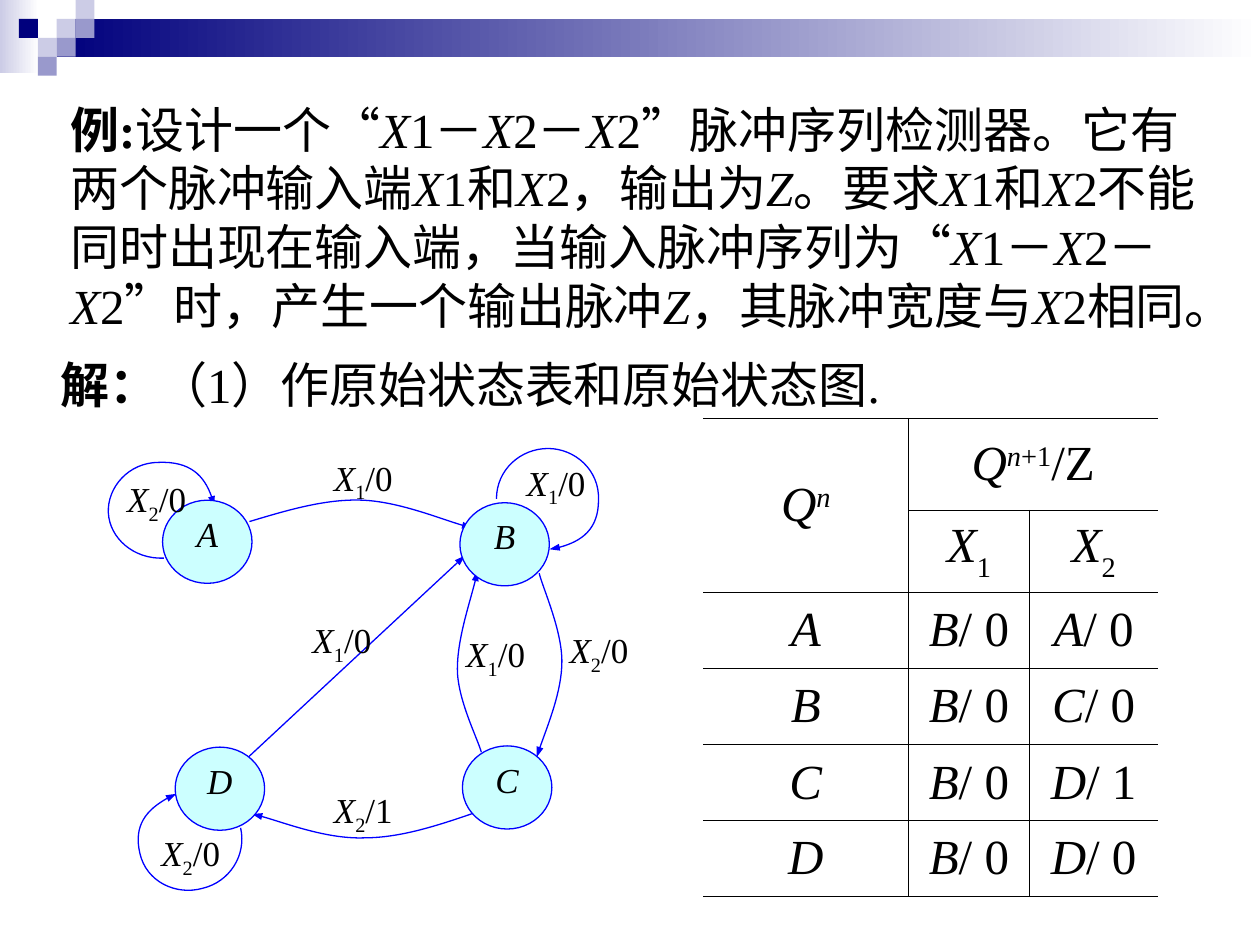
from dataclasses import dataclass

from pptx import Presentation
from pptx.dml.color import RGBColor
from pptx.enum.lang import MSO_LANGUAGE_ID
from pptx.enum.shapes import MSO_CONNECTOR, MSO_SHAPE
from pptx.enum.text import MSO_ANCHOR, MSO_AUTO_SIZE, PP_ALIGN
from pptx.oxml.ns import qn
from pptx.oxml.xmlchemy import OxmlElement
from pptx.util import Inches, Pt


@dataclass(frozen=True)
class Theme:
    font: str = "Times New Roman"
    body: int = 28
    label: int = 20
    edge_width: float = 0.75
    rule_width: float = 0.45
    ink: RGBColor = RGBColor(0, 0, 0)
    white: RGBColor = RGBColor(255, 255, 255)
    navy: RGBColor = RGBColor(0, 0, 0x7D)
    lilac: RGBColor = RGBColor(0x99, 0x99, 0xCC)
    pale: RGBColor = RGBColor(0xCC, 0xCC, 0xE6)
    state: RGBColor = RGBColor(0xCC, 0xFF, 0xFF)
    edge: RGBColor = RGBColor(0, 0, 0xFF)


THEME = Theme()
TILE = 0.15
PROBLEM = (
    "设计一个“*X*1－*X*2－*X*2”脉冲序列检测器。它有两个脉冲输入端*X*1和*X*2，"
    "输出为*Z*。要求*X*1和*X*2不能同时出现在输入端，当输入脉冲序列为“*X*1－*X*2－*X*2”时，"
    "产生一个输出脉冲*Z*，其脉冲宽度与*X*2相同。"
)
STATES = {"A": (1.29, 3.97), "B": (3.65, 3.99), "C": (3.67, 5.92), "D": (1.39, 5.93)}
# Start point, then three Bezier points for each curve segment
TRANSITIONS = [
    [(1.3, 4.43), (1.06, 4.44), (0.87, 4.27), (0.86, 4.07),
     (0.85, 3.87), (1.02, 3.67), (1.26, 3.67), (1.51, 3.66), (1.66, 3.81), (1.7, 4.02)],
    [(1.91, 6.57), (1.96, 6.79), (1.82, 7), (1.61, 7.05),
     (1.4, 7.11), (1.16, 7), (1.11, 6.77), (1.06, 6.55), (1.19, 6.39), (1.4, 6.3)],
    [(3.94, 3.96), (3.94, 3.73), (4.13, 3.56), (4.35, 3.56),
     (4.56, 3.56), (4.76, 3.73), (4.75, 3.97), (4.75, 4.2), (4.58, 4.33), (4.36, 4.36)],
    [(1.98, 4.14), (2.28, 4.05), (2.58, 3.96), (2.87, 3.97),
     (3.16, 3.98), (3.6, 4.16), (3.75, 4.19)],
    [(3.77, 6.45), (3.48, 6.55), (3.18, 6.65), (2.89, 6.65),
     (2.59, 6.66), (2.15, 6.49), (2, 6.46)],
    [(3.82, 5.97), (3.79, 5.86), (3.63, 5.55), (3.63, 5.31),
     (3.63, 5.07), (3.76, 4.69), (3.79, 4.53)],
    [(4.28, 4.55), (4.31, 4.67), (4.46, 5), (4.46, 5.25),
     (4.46, 5.49), (4.31, 5.85), (4.26, 6.01)],
]
# Left, top, input index, output
SIGNALS = [
    (1.01, 3.79, 2, 0), (2.65, 6.26, 2, 1), (2.48, 4.91, 1, 0), (3.7, 5.02, 1, 0),
    (4.52, 4.99, 2, 0), (4.18, 3.66, 1, 0), (2.65, 3.62, 1, 0), (1.28, 6.6, 2, 0),
]
# State, next state / output for X1 and for X2
STATE_ROWS = [("A", "*B*/ 0", "*A*/ 0"), ("B", "*B*/ 0", "*C*/ 0"),
              ("C", "*B*/ 0", "*D*/ 1"), ("D", "*B*/ 0", "*D*/ 0")]


# --- Text ---
def emphasised(text):
    """Runs (text, style, baseline) in which the parts between stars are italic."""
    return [(part, "i" if n % 2 else "", 0) for n, part in enumerate(text.split("*")) if part]


def write(paragraph, runs, size, align=None):
    paragraph.font.name = THEME.font
    paragraph.font.size = Pt(size)
    paragraph.font.color.rgb = THEME.ink
    paragraph.alignment = align
    for text, style, baseline in runs:
        run = paragraph.add_run()
        run.text = text
        run.font.language_id = MSO_LANGUAGE_ID.SIMPLIFIED_CHINESE
        if "i" in style:
            run.font.italic = True
        if "b" in style:
            run.font.bold = True
        if baseline:
            run.font._element.set("baseline", str(baseline * 1000))


def add_body(slide, left, top, width, height, runs, wrap=True):
    frame = slide.shapes.add_textbox(
        Inches(left), Inches(top), Inches(width), Inches(height)).text_frame
    frame.word_wrap = wrap
    frame.auto_size = MSO_AUTO_SIZE.SHAPE_TO_FIT_TEXT
    frame.vertical_anchor = MSO_ANCHOR.MIDDLE
    write(frame.paragraphs[0], runs, THEME.body)


def remove_margins(frame):
    frame.margin_left = frame.margin_right = frame.margin_top = frame.margin_bottom = 0
    frame.word_wrap = True


# --- Top band ---
def add_block(slide, left, top, width, height, color, fade=False):
    block = slide.shapes.add_shape(
        MSO_SHAPE.RECTANGLE, Inches(left), Inches(top), Inches(width), Inches(height))
    block.shadow.inherit = False
    block.line.fill.background()
    if fade:
        block.fill.gradient()
        block.fill.gradient_angle = 180
        for stop, stop_color in zip(block.fill.gradient_stops, (THEME.white, color)):
            stop.color.rgb = stop_color
    else:
        block.fill.solid()
        block.fill.fore_color.rgb = color


def add_band(slide):
    add_block(slide, 0, 0, 0.31, 0.58, THEME.pale, fade=True)
    add_block(slide, 0.45, 0.15, 9.55, 0.3, THEME.navy, fade=True)
    tiles = [(3, 1, THEME.pale), (4, 0, THEME.pale), (4, 1, THEME.lilac), (2, 2, THEME.pale),
             (1, 1, THEME.navy), (3, 2, THEME.lilac), (2, 3, THEME.lilac)]
    for column, row, color in tiles:
        add_block(slide, column * TILE, row * TILE, TILE, TILE, color)


# --- State diagram ---
def style_edge(edge):
    edge.line.color.rgb = THEME.edge
    edge.line.width = Pt(THEME.edge_width)
    arrowhead = OxmlElement("a:tailEnd")
    for key, value in (("type", "triangle"), ("w", "sm"), ("len", "med")):
        arrowhead.set(key, value)
    edge.line._get_or_add_ln().append(arrowhead)


def add_curve(slide, points):
    start, *rest = [(Inches(x), Inches(y)) for x, y in points]
    builder = slide.shapes.build_freeform(*start, scale=1.0)
    builder.add_line_segments(rest, close=False)
    curve = builder.convert_to_shape()
    curve.shadow.inherit = False
    curve.fill.background()
    style_edge(curve)
    # Turn each three straight steps into one Bezier segment
    outline = next(curve._element.iter(qn("a:path")))
    steps = outline.findall(qn("a:lnTo"))
    for n in range(0, len(steps), 3):
        bezier = OxmlElement("a:cubicBezTo")
        for step in steps[n:n + 3]:
            bezier.append(step[0])
            outline.remove(step)
        outline.append(bezier)


def add_straight(slide, x1, y1, x2, y2):
    edge = slide.shapes.add_connector(
        MSO_CONNECTOR.STRAIGHT, Inches(x1), Inches(y1), Inches(x2), Inches(y2))
    style_edge(edge)
    edge._element.spPr.append(OxmlElement("a:effectLst"))


def add_state(slide, name, left, top):
    state = slide.shapes.add_shape(
        MSO_SHAPE.OVAL, Inches(left), Inches(top), Inches(0.71), Inches(0.66))
    state.shadow.inherit = False
    state.fill.solid()
    state.fill.fore_color.rgb = THEME.state
    state.line.color.rgb = THEME.edge
    state.line.width = Pt(THEME.edge_width)
    remove_margins(state.text_frame)
    state.text_frame.vertical_anchor = MSO_ANCHOR.TOP
    write(state.text_frame.paragraphs[0], [(name, "i", 0)], THEME.label, PP_ALIGN.CENTER)


def add_signal(slide, left, top, index, output):
    frame = slide.shapes.add_textbox(
        Inches(left), Inches(top), Inches(0.62), Inches(0.37)).text_frame
    remove_margins(frame)
    runs = [("X", "i", 0), (str(index), "", -25), (f"/{output}", "", 0)]
    write(frame.paragraphs[0], runs, THEME.label, PP_ALIGN.JUSTIFY)


# --- State table ---
def rule_cell(cell, sides):
    for side in "LRTB":
        border = OxmlElement(f"a:ln{side}")
        border.set("w", str(Pt(THEME.rule_width)))
        fill = OxmlElement("a:solidFill" if side in sides else "a:noFill")
        if side in sides:
            ink = OxmlElement("a:srgbClr")
            ink.set("val", str(THEME.ink))
            fill.append(ink)
        border.append(fill)
        cell._tc.get_or_add_tcPr().append(border)


def add_state_table(slide):
    present, following = [("Q", "i", 0), ("n", "i", 30)], [("+1", "", 30), ("/Z", "", 0)]
    inputs = [[("X", "i", 0), (index, "", -30)] for index in "12"]
    rows = [[present, present + following, []], [[], *inputs]]
    rows += [[[(name, "i", 0)], emphasised(x1), emphasised(x2)] for name, x1, x2 in STATE_ROWS]
    table = slide.shapes.add_table(
        len(rows), 3, Inches(5.58), Inches(3.32), Inches(3.61), Inches(3.79)).table
    table.first_row = table.horz_banding = False
    for column, width in zip(table.columns, (1.63, 0.96, 1.02)):
        column.width = Inches(width)
    for row, height in zip(table.rows, (0.73, 0.65, 0.6, 0.61, 0.6, 0.6)):
        row.height = Inches(height)
    table.cell(0, 0).merge(table.cell(1, 0))
    table.cell(0, 1).merge(table.cell(0, 2))
    for r, row in enumerate(rows):
        for c, runs in enumerate(row):
            cell = table.cell(r, c)
            sides = ("R", "LR" if r else "L", "L" if r else "")[c]
            rule_cell(cell, sides + ("B" if (r, c) == (1, 0) else "TB"))
            cell.fill.background()
            cell.vertical_anchor = MSO_ANCHOR.MIDDLE
            write(cell.text_frame.paragraphs[0], runs, THEME.body, PP_ALIGN.CENTER)


def main():
    deck = Presentation()
    deck.slide_width, deck.slide_height = Inches(10), Inches(7.5)
    slide = deck.slides.add_slide(deck.slide_layouts[6])
    add_band(slide)
    # Problem and first step of the solution
    add_body(slide, 0.46, 0.5, 9.3, 2.44, [("例:", "b", 0), *emphasised(PROBLEM)])
    add_body(slide, 0.38, 2.76, 7.08, 0.57,
             [("解：", "b", 0), ("（1）作原始状态表和原始状态图.", "", 0)], wrap=False)
    # Diagram: transitions, states, then signals
    for points in TRANSITIONS:
        add_curve(slide, points)
    add_straight(slide, 1.97, 6.01, 3.69, 4.41)
    for name, place in STATES.items():
        add_state(slide, name, *place)
    for signal in SIGNALS:
        add_signal(slide, *signal)
    add_state_table(slide)
    deck.save("out.pptx")


if __name__ == "__main__":
    main()
